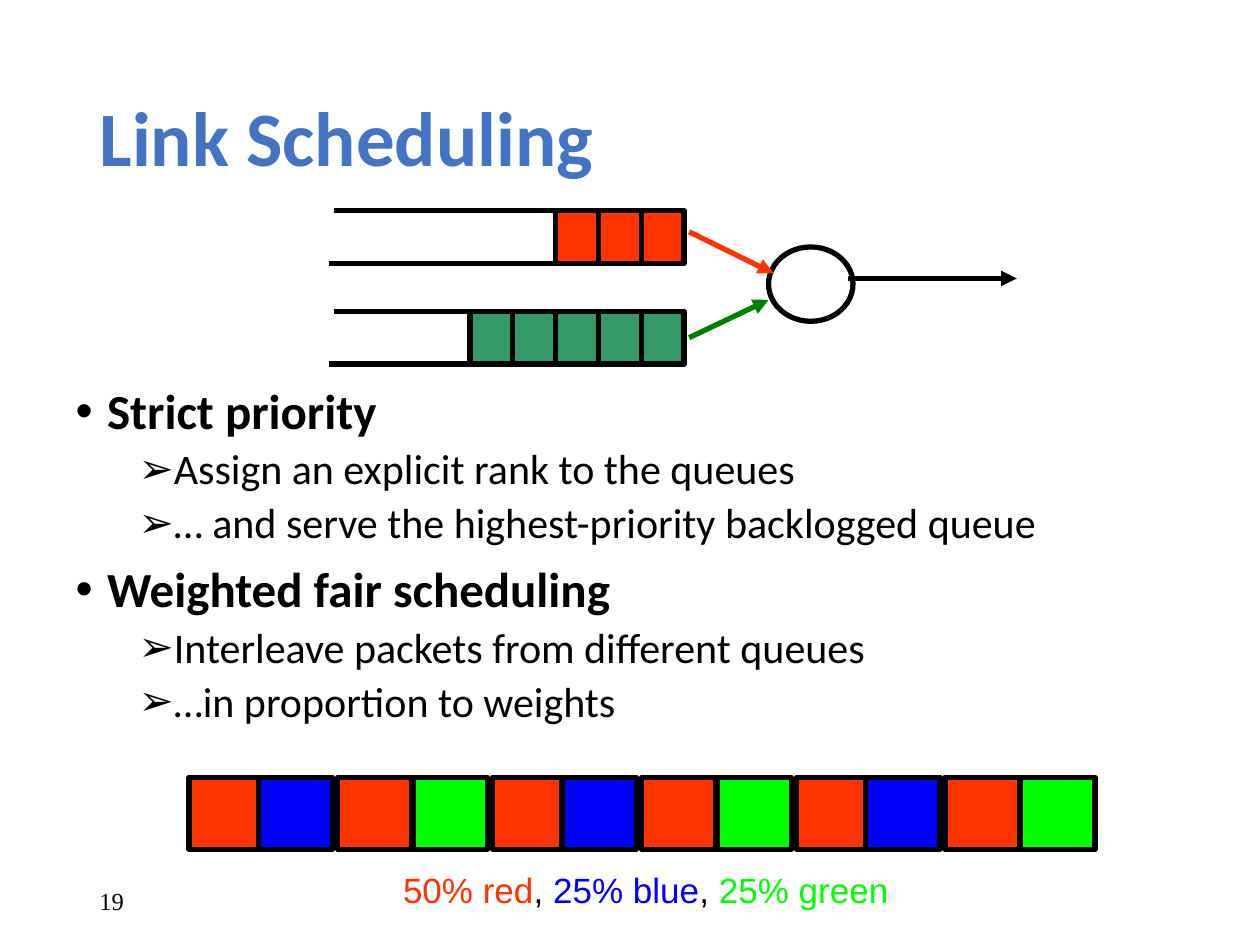
from lxml import etree
from pptx import Presentation
from pptx.dml.color import RGBColor
from pptx.enum.shapes import MSO_CONNECTOR, MSO_SHAPE
from pptx.enum.text import MSO_ANCHOR, MSO_AUTO_SIZE, PP_ALIGN
from pptx.oxml.ns import qn
from pptx.util import Inches, Pt

RECT, OVAL = MSO_SHAPE.RECTANGLE, MSO_SHAPE.OVAL
LINE = MSO_CONNECTOR.STRAIGHT
MID, TOP = MSO_ANCHOR.MIDDLE, MSO_ANCHOR.TOP
LEFT, CENTER = PP_ALIGN.LEFT, PP_ALIGN.CENTER
FIXED = MSO_AUTO_SIZE.NONE
BLACK, RED, BLUE, LIME = "000000", "FF3300", "0000FF", "00FF00"
TEAL, GREEN, TITLE = "339966", "008000", "4472C4"

POINTS = [
    (0, "Strict priority"),
    (1, "Assign an explicit rank to the queues"),
    (1, "… and serve the highest-priority backlogged queue"),
    (0, "Weighted fair scheduling"),
    (1, "Interleave packets from different queues"),
    (1, "…in proportion to weights"),
]
LEVELS = [
    {"mark": "•", "left": 0.25, "gap": 10, "size": 28, "bold": True},
    {"mark": "➢", "left": 0.75, "gap": 5, "size": 24, "bold": False},
]
SHARES = [("50% red", RED), (", ", BLACK), ("25% blue", BLUE),
          (", ", BLACK), ("25% green", LIME)]


def paint(part, color):
    part.rgb = RGBColor.from_string(color)


def apply(part, values):
    for name, value in values.items():
        setattr(part, name, value)


def place(shape, box):
    apply(shape, dict(zip(("left", "top", "width", "height"), map(Inches, box))))


def write(para, text, size, face, color, bold=False):
    run = para.add_run()
    run.text = text
    apply(run.font, {"size": Pt(size), "name": face, "bold": bold})
    paint(run.font.color, color)


def block(shapes, kind, box, fill=None):
    shape = shapes.add_shape(kind, *map(Inches, box))
    shape.shadow.inherit = False
    if fill:
        shape.fill.solid()
        paint(shape.fill.fore_color, fill)
    else:
        shape.fill.background()
    paint(shape.line.color, BLACK)
    shape.line.width = Pt(3)


def stroke(shapes, ends, color=BLACK, arrow=False):
    line = shapes.add_connector(LINE, *map(Inches, ends))
    paint(line.line.color, color)
    line.line.width = Pt(3)
    if arrow:
        edge = line.line._get_or_add_ln()
        etree.SubElement(edge, qn("a:tailEnd"), type="triangle")
    etree.SubElement(line._element.spPr, qn("a:effectLst"))


def head(shape, box):
    place(shape, box)
    frame = shape.text_frame
    apply(frame, {"vertical_anchor": MID, "auto_size": FIXED, "word_wrap": True})
    para = frame.paragraphs[0]
    apply(para, {"alignment": LEFT, "line_spacing": 0.9})
    write(para, "Link Scheduling", 44, "Calibri", TITLE, True)


def points(shape, box):
    place(shape, box)
    frame = shape.text_frame
    apply(frame, {"vertical_anchor": TOP, "auto_size": FIXED,
                  "word_wrap": True, "margin_top": Inches(0.65)})
    for row, (level, text) in enumerate(POINTS):
        para = frame.add_paragraph() if row else frame.paragraphs[0]
        look = LEVELS[level]
        apply(para, {"level": level, "line_spacing": 0.9,
                     "space_before": Pt(look["gap"] if row else 0)})
        props = para._p.get_or_add_pPr()
        props.set("marL", str(Inches(look["left"])))
        props.set("indent", str(Inches(-0.25)))
        etree.SubElement(props, qn("a:buFont"), typeface="Arial")
        etree.SubElement(props, qn("a:buChar"), char=look["mark"])
        write(para, text, look["size"], "Calibri", BLACK, look["bold"])


def queue(shapes, box, count, fill):
    left, top, width, height = box
    right, low, cell = left + width, top + height, 0.34
    stroke(shapes, (left + 0.04, top, right, top))
    stroke(shapes, (left, low, right - 0.05, low))
    for slot in range(1, count + 1):
        block(shapes, RECT, (right - slot * cell, top, cell, height), fill)


def link(shapes, box):
    left, top, width, height = box
    right = left + width
    block(shapes, OVAL, box)
    stroke(shapes, (5.47, 1.84, left + 0.04, top + 0.21), RED, True)
    stroke(shapes, (5.47, 2.68, left, top + 0.42), GREEN, True)
    stroke(shapes, (right - 0.04, top + 0.25, right + 1.3, top + 0.25),
           BLACK, True)


def strip(shapes, box):
    left, top, width, height = box
    group = shapes.add_group_shape().shapes
    cell, pitch = 0.59, (width - 2.37) / 2
    cycle = [(0, RED), (0.55, BLUE), (1.78, LIME), (1.18, RED)]
    for turn in range(3):
        for shift, fill in cycle:
            spot = left + turn * pitch + shift
            block(group, RECT, (spot, top, cell, height), fill)
    note = group.add_textbox(*map(Inches, (2.23, top + 0.67, 5.79, 0.44)))
    note.text_frame.word_wrap = True
    para = note.text_frame.paragraphs[0]
    para.alignment = CENTER
    for text, color in SHARES:
        write(para, text, 20, "Arial", color)


def number(shapes, box):
    frame = shapes.add_textbox(*map(Inches, box)).text_frame
    apply(frame, {"vertical_anchor": MID, "word_wrap": True})
    write(frame.paragraphs[0], "19", 14, "Times New Roman", BLACK)


def main():
    deck = Presentation()
    apply(deck, {"slide_width": Inches(10), "slide_height": Inches(7.5)})
    slide = deck.slides.add_slide(deck.slide_layouts[1])
    shapes = slide.shapes
    head(shapes.title, (0.69, 0.4, 8.62, 1.45))
    points(slide.placeholders[1], (0.5, 2.42, 9.25, 4.58))
    number(shapes, (0.69, 6.95, 2.25, 0.4))
    queue(shapes, (2.61, 2.47, 2.82, 0.42), 5, TEAL)
    queue(shapes, (2.61, 1.67, 2.82, 0.42), 3, RED)
    link(shapes, (6.1, 1.96, 0.67, 0.59))
    strip(shapes, (1.5, 6.17, 7.19, 0.57))
    deck.save("out.pptx")


if __name__ == "__main__":
    main()
